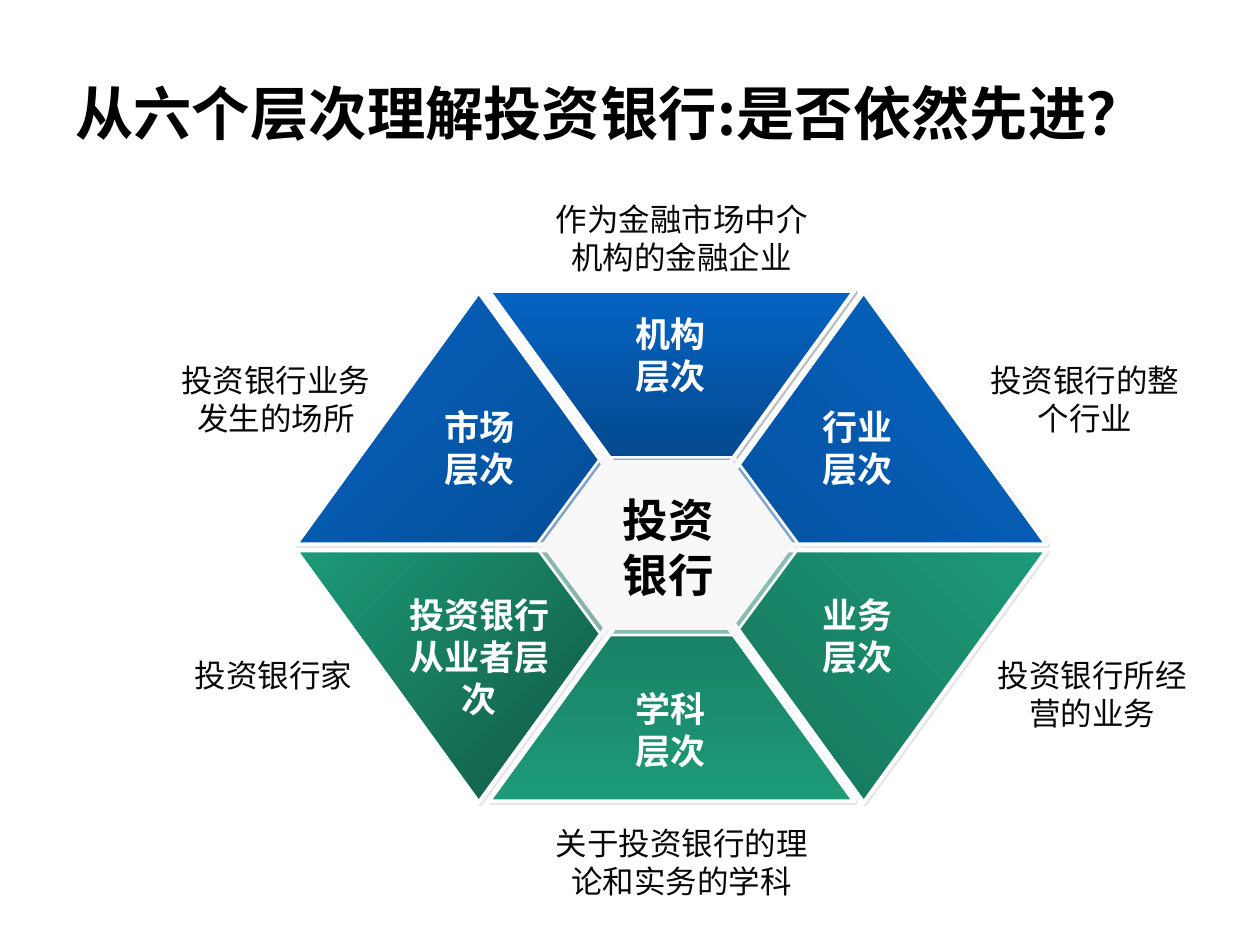
from lxml.etree import SubElement
from pptx import Presentation
from pptx.dml.color import RGBColor
from pptx.enum.shapes import MSO_SHAPE as Preset
from pptx.enum.text import MSO_ANCHOR as Anchor, MSO_AUTO_SIZE as AutoSize, PP_ALIGN as Align
from pptx.oxml.ns import qn
from pptx.util import Inches, Pt

CELL = 0.25
COLUMNS, ROWS = 40, 30
EAST_ASIAN = "Noto Sans CJK SC"
BLUE, GREEN, PALE, WHITE = "0563C1", "1D9A78", "F8F8F8", "FFFFFF"
SOFT, STRONG = ("E7E6E6", 100), ("808080", 50)

LABEL = {"size": Pt(20), "bold": True, "name": "Arial", "color": WHITE}
NOTE = {"size": Pt(18), "bold": False, "name": "Arial", "color": "080808"}
CORE = {"size": Pt(26), "bold": True, "name": "Calibri", "color": "000000"}
TITLE = {"size": Pt(33.3), "bold": True, "name": EAST_ASIAN, "color": "000000"}

TRIANGLE_SIZE = (11.6, 8)
LABEL_WIDTH = 6.28
LEFT, MIDDLE, RIGHT = 9.4, 15.52, 21.62
UPPER, LOWER = 9.28, 17.48

TRIANGLES = [
    (LEFT, LOWER, True, (GREEN, "0F4F3D"), 315, SOFT),
    (RIGHT, UPPER, False, ("04529F", BLUE), 315, SOFT),
    (LEFT, UPPER, False, (BLUE, "044B93"), 45, SOFT),
    (MIDDLE, UPPER - 0.04, True, ("033C75", BLUE), 90, STRONG),
    (MIDDLE, LOWER - 0.04, False, ("16755B", GREEN), 90, SOFT),
    (RIGHT, LOWER, True, ("157058", GREEN), 45, SOFT),
]
LABELS = [
    (18.16, 9.72, 3.08, ["机构", "层次"]),
    (12.08, 18.64, 4.4, ["投资银行从业者层次"]),
    (24.08, 18.64, 3.08, ["业务", "层次"]),
    (18.16, 21.64, 3.08, ["学科", "层次"]),
    (12.08, 12.68, 3.08, ["市场", "层次"]),
    (24.08, 12.68, 3.08, ["行业", "层次"]),
]
NOTES = [
    (5.12, 11.28, 7.28, 2.8, "投资银行业务发生的场所"),
    (30.8, 11.28, 7.28, 2.8, "投资银行的整个行业"),
    (5.04, 20.64, 7.28, 1.6, "投资银行家"),
    (31.04, 20.64, 7.28, 2.8, "投资银行所经营的业务"),
    (17, 6.16, 9.28, 2.8, "作为金融市场中介机构的金融企业"),
    (17, 25.96, 9.28, 2.8, "关于投资银行的理论和实务的学科"),
]
HEXAGONS = [((17, 14.52, 8.4, 5.64), 50), ((17.24, 14.64, 7.92, 5.32), 100)]


def rgb(value):
    """Turn a hex string into a colour."""
    return RGBColor.from_string(value)


def grid(*cells):
    """Turn grid cells into lengths."""
    return [Inches(cell * CELL) for cell in cells]


def set_alpha(color_element, percent):
    """Give a colour element an opacity."""
    if percent < 100:
        SubElement(color_element, qn("a:alpha"), val=str(percent * 1000))


class Canvas:
    """Hold the style and the current slide."""

    def __init__(self, presentation):
        """Start a blank slide."""
        self.slide = presentation.slides.add_slide(presentation.slide_layouts[6])

    def preset(self, kind, box, line, width):
        """Add an outlined preset shape without a shadow."""
        shape = self.slide.shapes.add_shape(kind, *grid(*box))
        shape.shadow.inherit = False
        shape.line.color.rgb = rgb(line)
        shape.line.width = Pt(width)
        return shape

    def triangle(self, left, top, flipped, colors, angle, shadow):
        """Add a gradient triangle with a hard shadow."""
        shape = self.preset(Preset.ISOSCELES_TRIANGLE, (left, top, *TRIANGLE_SIZE), WHITE, 2.25)
        shape.fill.gradient()
        shape.fill.gradient_angle = 360 - angle
        for position, (stop, color) in enumerate(zip(shape.fill.gradient_stops, colors)):
            stop.color.rgb = rgb(color)
            stop.position = position
        properties = shape.element.spPr
        if flipped:
            properties.find(qn("a:xfrm")).set("flipV", "1")
        color, opacity = shadow
        outer = SubElement(properties.find(qn("a:effectLst")), qn("a:outerShdw"),
                           blurRad="0", dist=str(Pt(1.4)), dir="2700000", algn="ctr", rotWithShape="0")
        set_alpha(SubElement(outer, qn("a:srgbClr"), val=color), opacity)

    def hexagon(self, box, opacity):
        """Add a pale hexagon."""
        shape = self.preset(Preset.HEXAGON, box, PALE, 1.5)
        shape.adjustments[0] = 0.37
        shape.fill.solid()
        shape.fill.fore_color.rgb = rgb(PALE)
        set_alpha(shape.element.spPr.find(qn("a:solidFill"))[0], opacity)

    def text(self, box, lines, style, align=Align.CENTER, anchor=Anchor.TOP,
             auto_size=AutoSize.SHAPE_TO_FIT_TEXT, spacing=None):
        """Add a wrapped text box with one paragraph a line."""
        frame = self.slide.shapes.add_textbox(*grid(*box)).text_frame
        settings = {"word_wrap": True, "auto_size": auto_size, "vertical_anchor": anchor}
        for name, value in settings.items():
            setattr(frame, name, value)
        frame.text = "\n".join(lines)
        for paragraph in frame.paragraphs:
            paragraph.alignment = align
            paragraph.line_spacing = spacing
            self.format(paragraph.runs[0], style)

    def format(self, run, style):
        """Apply a dict of font values to a run."""
        for name, value in style.items():
            if name == "color":
                run.font.color.rgb = rgb(value)
            else:
                setattr(run.font, name, value)
        SubElement(run.font._element, qn("a:ea"), typeface=EAST_ASIAN)


def main():
    """Build the slide and save it."""
    presentation = Presentation()
    presentation.slide_width, presentation.slide_height = grid(COLUMNS, ROWS)
    canvas = Canvas(presentation)
    for triangle in TRIANGLES:
        canvas.triangle(*triangle)
    for left, top, height, lines in LABELS:
        canvas.text((left, top, LABEL_WIDTH, height), lines, LABEL)
    for *box, note in NOTES:
        canvas.text(box, [note], NOTE)
    for box, opacity in HEXAGONS:
        canvas.hexagon(box, opacity)
    canvas.text((18.4, 15.44, 5.64, 3.88), ["投资", "银行"], CORE)
    canvas.text((2, 1.2, 36, 5), ["从六个层次理解投资银行:是否依然先进？"], TITLE,
                Align.LEFT, Anchor.MIDDLE, AutoSize.NONE, 0.9)
    presentation.save("out.pptx")


if __name__ == "__main__":
    main()
